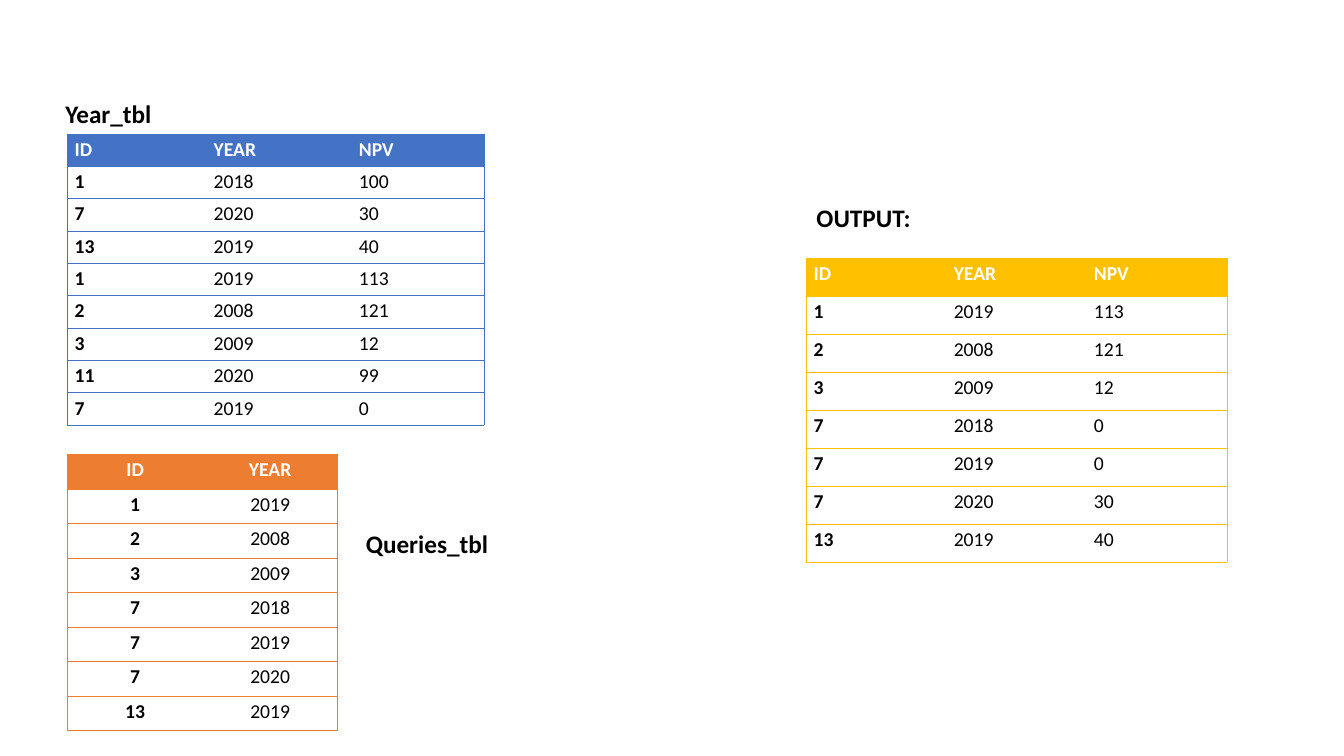
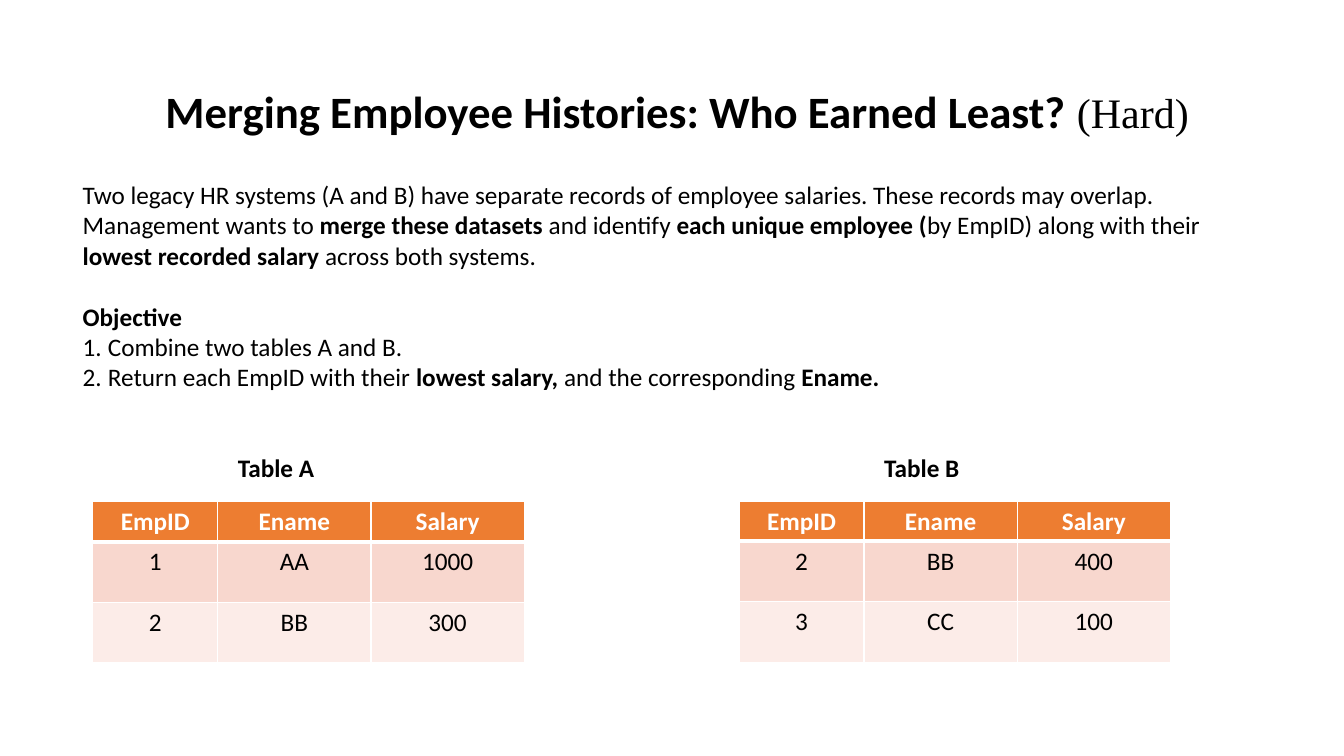
from lxml.etree import SubElement as Sub
from pptx import Presentation
from pptx.dml.color import RGBColor
from pptx.enum.text import MSO_ANCHOR as Anchor, MSO_AUTO_SIZE as Fit, PP_ALIGN as Align
from pptx.oxml.ns import qn
from pptx.util import Pt

PX = 9144  # one px is 1/100 inch
BLACK = RGBColor(0x00, 0x00, 0x00)
WHITE = RGBColor(0xFF, 0xFF, 0xFF)
BLUE = RGBColor(0x44, 0x72, 0xC4)
ORANGE = RGBColor(0xED, 0x7D, 0x31)
GOLD = RGBColor(0xFF, 0xC0, 0x00)
BANDS = RGBColor(0xF8, 0xD7, 0xCE), RGBColor(0xFC, 0xEC, 0xE8)
SANS, SERIF = "Calibri", "Times New Roman"
PLAIN = "{2D5ABB26-0587-4C30-8999-92F81FD0307C}"  # table style without grid

YEARS = ["ID YEAR NPV", "1 2018 100", "7 2020 30", "13 2019 40", "1 2019 113",
         "2 2008 121", "3 2009 12", "11 2020 99", "7 2019 0"]
QUERIES = ["ID YEAR", "1 2019", "2 2008", "3 2009", "7 2018", "7 2019",
           "7 2020", "13 2019"]
OUTPUT = ["ID YEAR NPV", "1 2019 113", "2 2008 121", "3 2009 12", "7 2018 0",
          "7 2019 0", "7 2020 30", "13 2019 40"]
STAFF = {
    "A": ["EmpID Ename Salary", "1 AA 1000", "2 BB 300"],
    "B": ["EmpID Ename Salary", "2 BB 400", "3 CC 100"],
}
# Asterisks enclose bold words
INTRO = ("Two legacy HR systems (A and B) have separate records of employee salaries. "
         "These records may overlap. Management wants to *merge these datasets* and "
         "identify *each unique employee (*by EmpID) along with their "
         "*lowest recorded salary* across both systems.")
GOALS = ["Combine two tables A and B.",
         "Return each EmpID with their *lowest salary,* and the corresponding *Ename.*"]


def write(para, text, size=18, font=SANS, color=BLACK, bold=False,
          align=Align.LEFT, lead=1.0, before=0):
    """Add text to a paragraph; starred parts turn bold."""
    para.alignment, para.line_spacing = align, lead
    para.space_before = Pt(before)
    for i, part in enumerate(text.split("*")):
        if part:
            run = para.add_run()
            run.text = part
            run.font.size, run.font.name = Pt(size), font
            run.font.color.rgb = color
            run.font.bold = bold or i % 2 == 1


def place(shape, *box):
    shape.left, shape.top, shape.width, shape.height = [v * PX for v in box]


def label(slide, text, x, y, w):
    box = slide.shapes.add_textbox(x * PX, y * PX, w * PX, 40 * PX)
    box.text_frame.word_wrap = True
    write(box.text_frame.paragraphs[0], text, bold=True)


def edge(cell, side, color, width):
    line = Sub(cell._tc.get_or_add_tcPr(), qn("a:ln" + side), w=str(Pt(width)))
    fill = Sub(line, qn("a:solidFill"))
    Sub(fill, qn("a:srgbClr"), val=str(color))


def table(slide, rows, x, y, cols, high, head=None):
    """Add an unstyled table and return its cells, row by row."""
    frame = slide.shapes.add_table(len(rows), len(cols), x * PX, y * PX,
                                   sum(cols) * PX, high * PX)
    next(frame.element.iter(qn("a:tableStyleId"))).text = PLAIN
    grid = frame.table
    for col, wide in zip(grid.columns, cols):
        col.width = wide * PX
    if head:
        for i, row in enumerate(grid.rows):
            row.height = PX * (head if i == 0 else (high - head) // (len(rows) - 1))
    return [list(zip(row.cells, text.split())) for row, text in zip(grid.rows, rows)]


def ruled(slide, rows, x, y, cols, high, color, align=Align.LEFT):
    """Table with a solid head, a frame and lines between rows."""
    for r, row in enumerate(table(slide, rows, x, y, cols, high)):
        for c, (cell, text) in enumerate(row):
            sides = "L" * (c == 0) + "R" * (c == len(cols) - 1) + "TB"
            for side in sides:
                edge(cell, side, color, 0.5)
            cell.margin_left = cell.margin_right = 7 * PX
            cell.margin_top = cell.margin_bottom = 0
            if r == 0:
                cell.fill.solid()
                cell.fill.fore_color.rgb = color
            write(cell.text_frame.paragraphs[0], text, size=14, align=align, lead=1.15,
                  color=BLACK if r else WHITE, bold=r == 0 or c == 0)


def banded(slide, rows, x, y, cols, high, head):
    """Table with an orange head, tinted rows and white lines."""
    for r, row in enumerate(table(slide, rows, x, y, cols, high, head)):
        for cell, text in row:
            for side in "LRTB":
                thick = (r, side) in ((0, "B"), (1, "T"))
                edge(cell, side, WHITE, 3 if thick else 1)
            cell.fill.solid()
            cell.fill.fore_color.rgb = BANDS[(r - 1) % 2] if r else ORANGE
            write(cell.text_frame.paragraphs[0], text, align=Align.CENTER,
                  color=BLACK if r else WHITE, bold=r == 0)


def bullet(para, number=False):
    """Number a paragraph, or clear its bullet."""
    props = para._p.get_or_add_pPr()
    hang = 25 * PX if number else 0
    props.set("marL", str(hang))
    props.set("indent", str(-hang))
    if number:
        Sub(props, qn("a:buFont"), typeface="+mj-lt")
        Sub(props, qn("a:buAutoNum"), type="arabicPeriod")
    else:
        Sub(props, qn("a:buNone"))


def lookup(deck):
    slide = deck.slides.add_slide(deck.slide_layouts[6])
    ruled(slide, YEARS, 67, 133, [138, 144, 131], 289, BLUE)
    ruled(slide, QUERIES, 67, 451, [134] * 2, 274, ORANGE, Align.CENTER)
    ruled(slide, OUTPUT, 800, 256, [139] * 3, 302, GOLD)
    for text, x, y in (("OUTPUT:", 800, 196), ("Year_tbl", 55, 93),
                       ("Queries_tbl", 353, 519)):
        label(slide, text, x, y, 254)


def merge(deck):
    slide = deck.slides.add_slide(deck.slide_layouts[1])
    title, body = slide.placeholders

    # Title
    place(title, 154, 72, 1088, 82)
    frame = title.text_frame
    frame.auto_size, frame.vertical_anchor = Fit.NONE, Anchor.MIDDLE
    para = frame.paragraphs[0]
    write(para, "Merging Employee Histories: Who Earned Least?", size=32,
          bold=True, lead=0.9)
    write(para, " (Hard)", size=30, font=SERIF, lead=0.9)

    # Task and numbered goals
    place(body, 72, 173, 1136, 222)
    frame = body.text_frame
    frame.auto_size, frame.vertical_anchor = Fit.NONE, Anchor.TOP
    for i, text in enumerate([INTRO, "*Objective*", *GOALS]):
        para = frame.add_paragraph() if i else frame.paragraphs[0]
        write(para, text, before=22 if i == 1 else 0)
        bullet(para, number=i > 1)

    # Salary tables
    for (name, rows), x in zip(STAFF.items(), (92, 733)):
        banded(slide, rows, x, 497, [124, 152, 152], 160, 40)
        label(slide, "Table " + name, x + 134, 444, 98)


def main():
    deck = Presentation()
    deck.slide_width, deck.slide_height = 1333 * PX, 750 * PX
    lookup(deck)
    merge(deck)
    deck.save("out.pptx")


if __name__ == "__main__":
    main()
